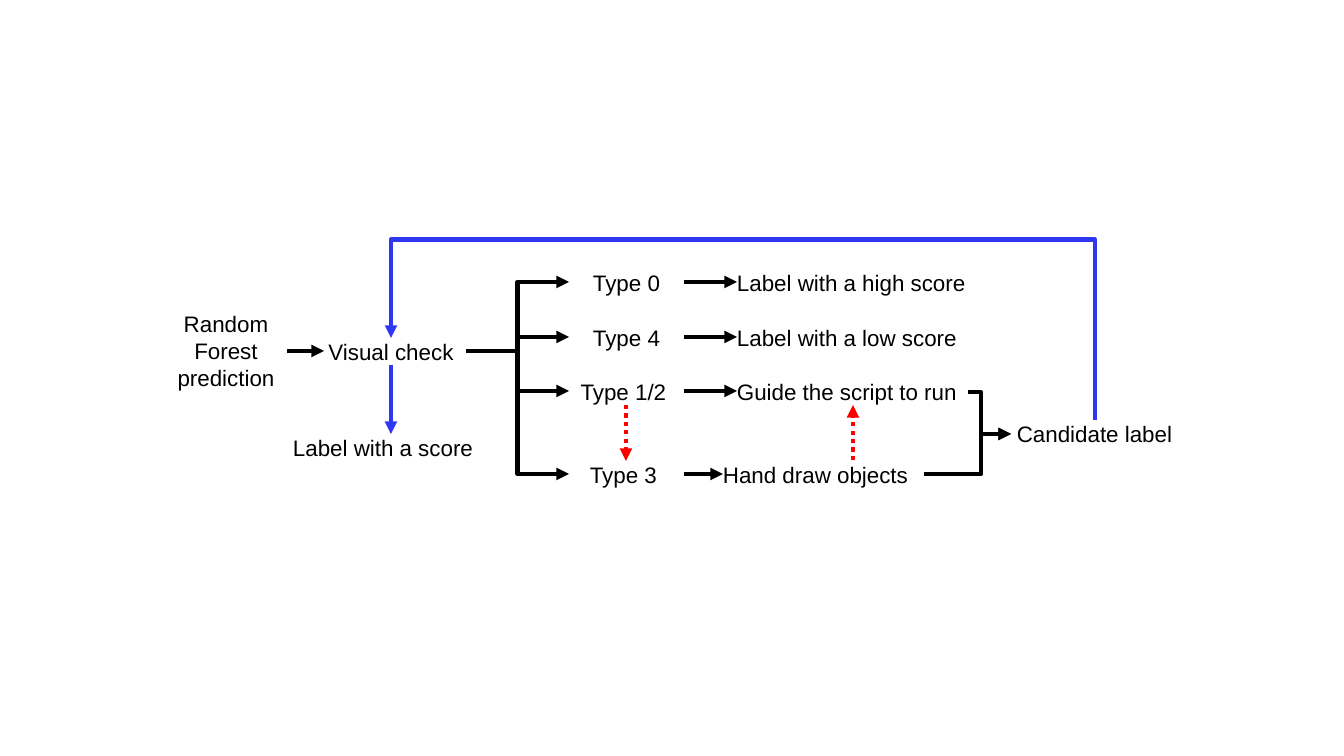
"""Build the label-checking workflow slide."""
import pptx
import pptx.dml.color
import pptx.enum.dml
import pptx.enum.shapes
import pptx.enum.text
import pptx.oxml
import pptx.oxml.ns
import pptx.util

PIXEL = 914400 / 100.8
BLACK = pptx.dml.color.RGBColor(0x00, 0x00, 0x00)
RED = pptx.dml.color.RGBColor(0xFF, 0x00, 0x00)
BLUE = pptx.dml.color.RGBColor(0x30, 0x37, 0xF2)
CENTER = pptx.enum.text.PP_ALIGN.CENTER
LEFT = pptx.enum.text.PP_ALIGN.LEFT
STRAIGHT = pptx.enum.shapes.MSO_CONNECTOR.STRAIGHT
ELBOW = pptx.enum.shapes.MSO_CONNECTOR.ELBOW
LINE_HEIGHT = 27
FRAME_FORMAT = {
    "margin_left": 0, "margin_right": 0, "margin_top": 0, "margin_bottom": 0,
    "word_wrap": True,
    "auto_size": pptx.enum.text.MSO_AUTO_SIZE.SHAPE_TO_FIT_TEXT,
}
FONT_FORMAT = {"name": "Arial", "size": pptx.util.Pt(16)}


def emu(*pixels):
    return [round(pixel * PIXEL) for pixel in pixels]


def add_arrow(kind, start, end, color=BLACK, bend=None):
    connector = slide.shapes.add_connector(kind, *emu(*start, *end))
    connector.line.width = pptx.util.Pt(3)
    connector.line.color.rgb = color
    if color == RED:
        connector.line.dash_style = pptx.enum.dml.MSO_LINE.ROUND_DOT
    properties = connector._element.spPr
    namespace = pptx.oxml.ns.nsdecls("a")
    connector.line._get_or_add_ln().append(
        pptx.oxml.parse_xml(f'<a:tailEnd {namespace} type="triangle"/>'))
    properties.append(pptx.oxml.parse_xml(f"<a:effectLst {namespace}/>"))
    if bend is not None:
        geometry = properties.find(pptx.oxml.ns.qn("a:prstGeom"))
        geometry.get_or_add_avLst().append(pptx.oxml.parse_xml(
            f'<a:gd {namespace} name="adj1" fmla="val {round(bend * 100000)}"/>'))
    return connector


presentation = pptx.Presentation()
presentation.slide_width, presentation.slide_height = emu(1344, 756)
slide = presentation.slides.add_slide(presentation.slide_layouts[6])

type_rows = [
    (282, "Type 0", "Label with a high score", 737, 232),
    (337, "Type 4", "Label with a low score", 737, 232),
    (391, "Type 1/2 ", "Guide the script to run", 737, 232),
    (474, "Type 3 ", "Hand draw objects", 723, 202),
]
labels = [
    ("Random Forest prediction", 165, 310, 122, 3, CENTER),
    ("Visual check", 324, 338, 134, 1, CENTER),
    ("Label with a score", 293, 434, 195, 1, LEFT),
    ("Candidate label", 1011, 420, 167, 1, CENTER),
]
for middle, type_name, action, action_left, action_width in type_rows:
    top = middle - 13
    labels.append((type_name, 569, top, 115, 1, CENTER))
    labels.append((action, action_left, top, action_width, 1, LEFT))
    add_arrow(ELBOW, (466, 351), (569, middle))
    add_arrow(STRAIGHT, (684, middle), (action_left, middle))

for text, left, top, width, line_count, alignment in labels:
    box = slide.shapes.add_textbox(*emu(left, top, width, line_count * LINE_HEIGHT))
    for name, value in FRAME_FORMAT.items():
        setattr(box.text_frame, name, value)
    paragraph = box.text_frame.paragraphs[0]
    paragraph.alignment = alignment
    run = paragraph.add_run()
    run.text = text
    for name, value in FONT_FORMAT.items():
        setattr(run.font, name, value)
    run.font.color.rgb = BLACK

add_arrow(STRAIGHT, (287, 351), (324, 351))
add_arrow(STRAIGHT, (391, 365), (391, 434), BLUE)
add_arrow(STRAIGHT, (626, 405), (626, 461), RED)
add_arrow(STRAIGHT, (853, 460), (853, 405), RED)
add_arrow(ELBOW, (968, 392), (1011, 434), bend=0.3)
add_arrow(ELBOW, (924, 474), (1011, 434), bend=0.66)

feedback = add_arrow(ELBOW, (702, 731), (784, 27), BLUE, bend=2.2)
feedback._element.spPr.xfrm.set("rot", str(270 * 60000))

presentation.save("out.pptx")
